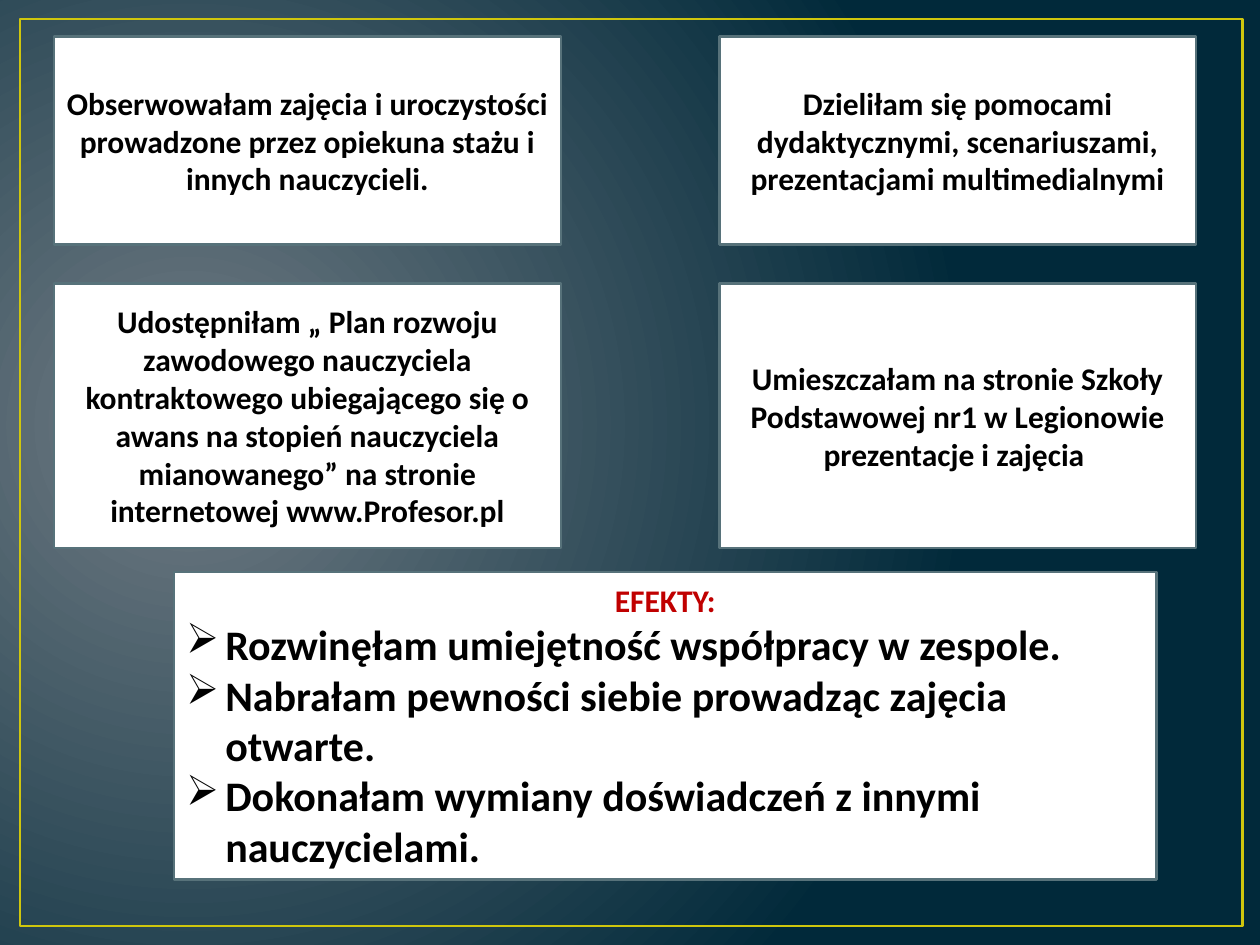
import pptx
import pptx.dml.color
import pptx.enum.shapes
import pptx.enum.text
import pptx.oxml
import pptx.oxml.ns
import pptx.util

RGBColor = pptx.dml.color.RGBColor
WHITE = RGBColor(0xFF, 0xFF, 0xFF)
BLACK = RGBColor(0x00, 0x00, 0x00)
RED = RGBColor(0xC0, 0x00, 0x00)
YELLOW = RGBColor(0xCF, 0xC6, 0x0D)
TEAL = RGBColor(0x57, 0x72, 0x7A)
GREY = RGBColor(0x71, 0x7C, 0x84)
NAVY = RGBColor(0x01, 0x29, 0x3A)

COLUMNS, ROWS = 100, 75
CENTER = pptx.enum.text.PP_ALIGN.CENTER
LEFT = pptx.enum.text.PP_ALIGN.LEFT


def write(para, text, size=18, color=BLACK, align=CENTER, bullet=None, indent=0.31):
    para.alignment = align
    if bullet:
        properties = para._p.get_or_add_pPr()
        step = pptx.util.Inches(indent)
        properties.set("marL", str(step))
        properties.set("indent", str(-step))
        mark = pptx.oxml.parse_xml(
            f'<a:buChar {pptx.oxml.ns.nsdecls("a")} char="{bullet}"/>'
        )
        properties.append(mark)
    span = para.add_run()
    span.text = text
    span.font.name = "Calibri"
    span.font.size = pptx.util.Pt(size)
    span.font.bold = True
    span.font.color.rgb = color


class Slide:
    def __init__(self, deck):
        self.page = deck.slides.add_slide(deck.slide_layouts[6])
        self.column = deck.slide_width / COLUMNS
        self.row = deck.slide_height / ROWS

    def background(self, inner, outer):
        fill = self.page.background.fill
        fill.gradient()
        for stop, color in zip(fill.gradient_stops, (inner, outer)):
            stop.color.rgb = color
        gradient = self.page._element.xpath(".//p:bg//a:gradFill")[0]
        for line in gradient.xpath("a:lin"):
            gradient.remove(line)
        gradient.append(pptx.oxml.parse_xml(
            f'<a:path {pptx.oxml.ns.nsdecls("a")} path="circle">'
            '<a:fillToRect l="15000" t="50000" r="85000" b="60000"/></a:path>'
        ))

    def rectangle(self, left, top, width, height, line, weight):
        box = self.page.shapes.add_shape(
            pptx.enum.shapes.MSO_SHAPE.RECTANGLE,
            round(left * self.column), round(top * self.row),
            round(width * self.column), round(height * self.row),
        )
        box.shadow.inherit = False
        box.fill.background()
        box.line.color.rgb = line
        box.line.width = pptx.util.Pt(weight)
        return box

    def card(self, left, top, width, height, lines):
        box = self.rectangle(left, top, width, height, TEAL, 1.25)
        box.fill.solid()
        box.fill.fore_color.rgb = WHITE
        frame = box.text_frame
        frame.word_wrap = True
        frame.vertical_anchor = pptx.enum.text.MSO_ANCHOR.MIDDLE
        for index, (text, style) in enumerate(lines):
            para = frame.add_paragraph() if index else frame.paragraphs[0]
            write(para, text, **style)


def main():
    deck = pptx.Presentation()
    deck.slide_width = pptx.util.Inches(10)
    deck.slide_height = pptx.util.Inches(7.5)
    slide = Slide(deck)
    slide.background(GREY, NAVY)
    slide.rectangle(1.6, 1.5, 97, 72, YELLOW, 1.5)

    card_columns = [(4.3, 40.2), (57.1, 37.8)]
    card_rows = [(2.9, 16.5), (22.5, 21)]
    activities = [
        [
            [
                "Obserwowałam zajęcia i uroczystości",
                "prowadzone przez opiekuna stażu i",
                "innych nauczycieli.",
            ],
            ["Dzieliłam się pomocami dydaktycznymi, scenariuszami, "
             "prezentacjami multimedialnymi"],
        ],
        [
            ["Udostępniłam „ Plan rozwoju zawodowego nauczyciela kontraktowego "
             "ubiegającego się o awans na stopień nauczyciela mianowanego” "
             "na stronie internetowej www.Profesor.pl"],
            ["Umieszczałam na stronie Szkoły Podstawowej nr1 w Legionowie "
             "prezentacje i zajęcia "],
        ],
    ]
    for (top, height), row in zip(card_rows, activities):
        for (left, width), texts in zip(card_columns, row):
            slide.card(left, top, width, height, [(text, {}) for text in texts])

    effects = [
        "Rozwinęłam umiejętność współpracy w zespole.",
        "Nabrałam pewności siebie prowadząc zajęcia otwarte.",
        "Dokonałam wymiany doświadczeń z innymi nauczycielami.",
    ]
    item = {"size": 24, "align": LEFT, "bullet": "➢"}
    heading = ("EFEKTY:", {"color": RED})
    slide.card(13.8, 45.4, 78, 24.4, [heading] + [(text, item) for text in effects])
    deck.save("out.pptx")


if __name__ == "__main__":
    main()
